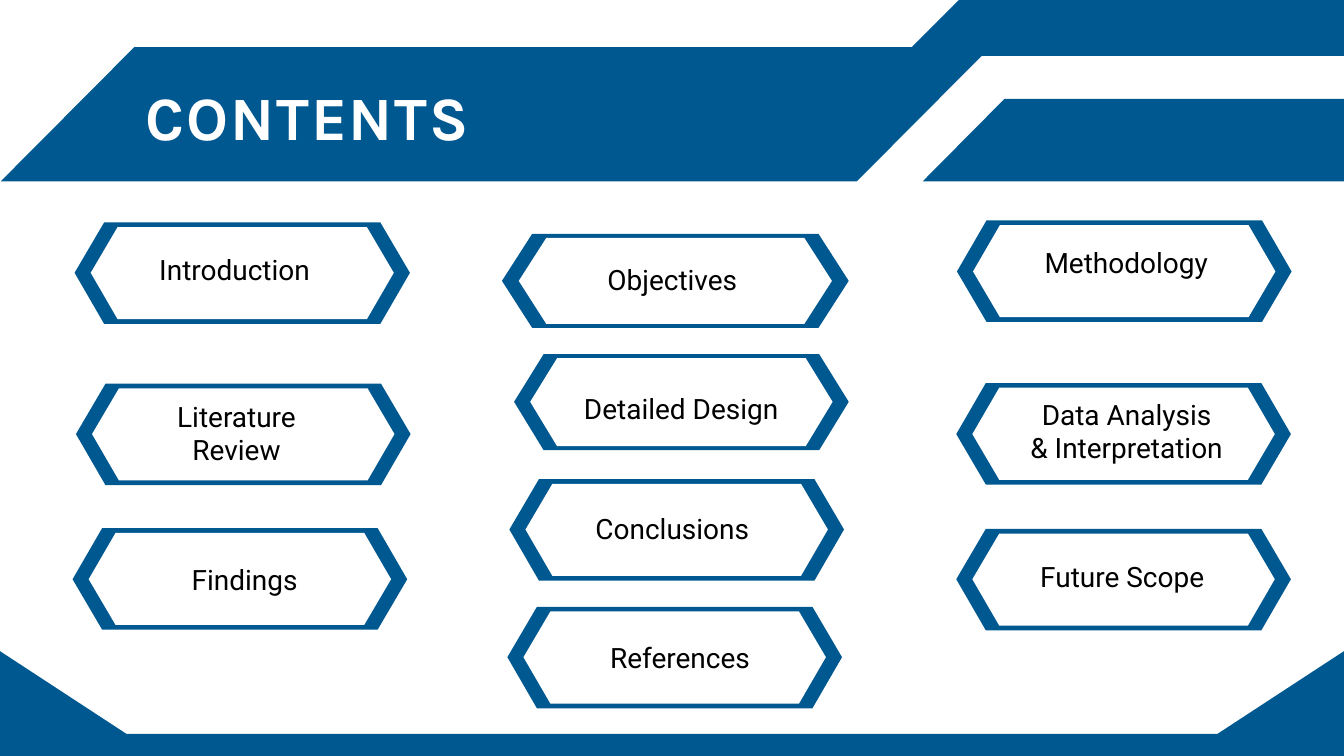
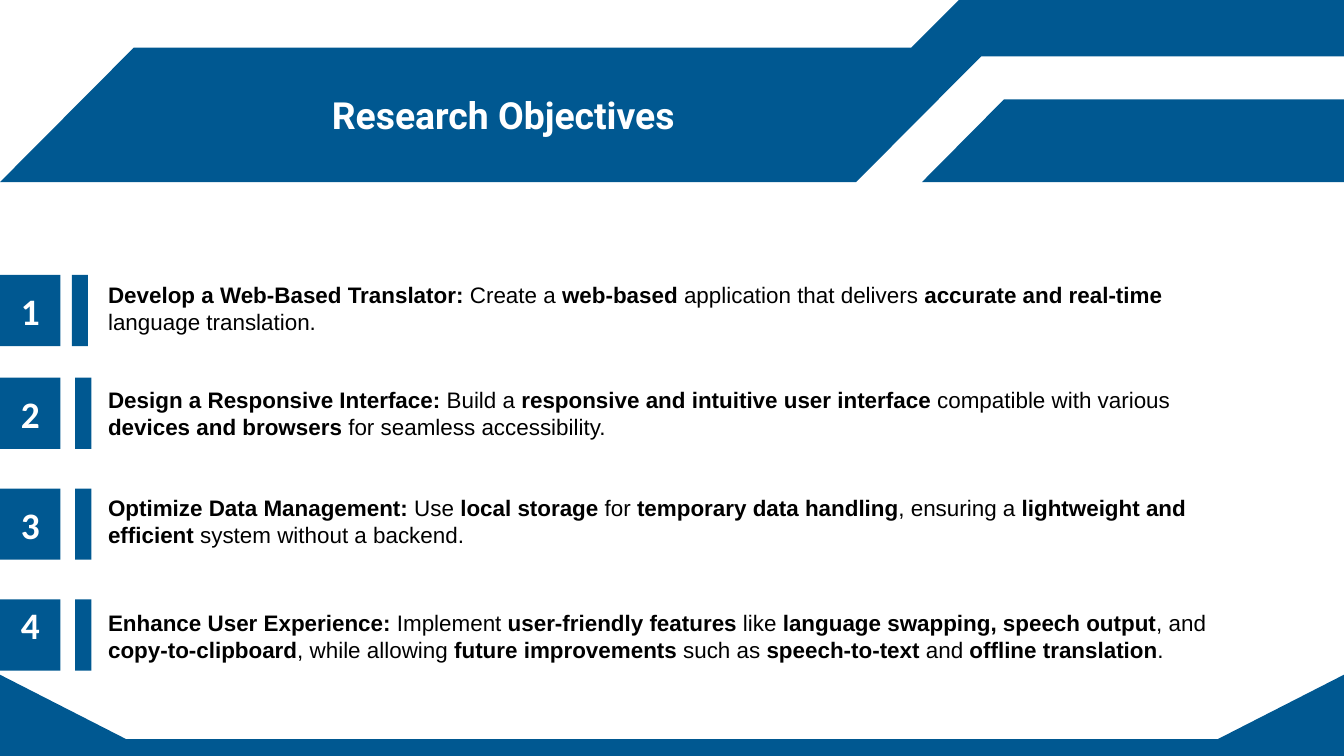
from pptx import Presentation
from pptx.dml.color import RGBColor as Rgb
from pptx.enum.shapes import MSO_SHAPE as Shape
from pptx.enum.text import MSO_ANCHOR as Anchor, MSO_AUTO_SIZE as Auto, PP_ALIGN as Align
from pptx.util import Pt

PX = 9144
WIDE, HIGH = 2000, 1125
HUES = {"blue": "005891", "white": "FFFFFF", "black": "000000"}

BANDS = [
    [(2000, 148), (1494, 148), (1372, 271), (2000, 271)],
    [(2000, 0), (1427, 0), (1356, 71), (199, 71), (0, 271),
     (1274, 271), (1460, 84), (2000, 84)],
]

RINGS = [
    (111, 331, 499, 151), (747, 348, 516, 140), (1424, 328, 498, 151),
    (113, 571, 498, 151), (758, 713, 498, 151), (108, 786, 498, 151),
    (765, 527, 498, 143), (1423, 570, 498, 151), (1423, 787, 498, 151),
    (755, 903, 498, 151),
]

LABELS = [
    ((217, 593, 228, 102), ["Literature", "Review"]),
    ((1497, 365, 316, 52), ["Methodology"]),
    ((1431, 590, 449, 102), ["Data Analysis", "& Interpretation"]),
    ((806, 760, 347, 52), ["Conclusions"]),
    ((223, 836, 240, 52), ["Findings"]),
    ((854, 389, 251, 52), ["Objectives"]),
    ((1464, 831, 370, 52), ["Future Scope"]),
    ((806, 952, 370, 52), ["References"]),
]

# Bold and plain runs take turns, split at each bar.
GOALS = [
    (409, 107, 414, 1633, 0,
     "Develop a Web-Based Translator:| Create a |web-based| application that delivers "
     "|accurate and real-time| language translation."),
    (562, 112, 570, 1633, 0,
     "Design a Responsive Interface: |Build a |responsive and intuitive user interface "
     "|compatible with various |devices and browsers |for seamless accessibility."),
    (727, 112, 731, 1633, 0,
     "Optimize Data Management:| Use |local storage |for |temporary data handling"
     "|, ensuring a |lightweight and efficient| system without a backend."),
    (892, 112, 901, 1658, 30,
     "Enhance User Experience:| Implement |user-friendly features| like "
     "|language swapping, speech output|, and |copy-to-clipboard|, while allowing "
     "|future improvements| such as |speech-to-text| and |offline translation|."),
]


def place(*nums):
    return [n * PX for n in nums]


def paint(shape, hue):
    shape.shadow.inherit = False
    shape.fill.solid()
    shape.fill.fore_color.rgb = Rgb.from_string(HUES[hue])
    shape.line.fill.background()
    return shape


def outline(shapes, paths, hue, dx=0, dy=0):
    moved = [[(x + dx, y + dy) for x, y in path] for path in paths]
    pen = shapes.build_freeform(*moved[0][0], scale=float(PX))
    for i, path in enumerate(moved):
        if i:
            pen.move_to(*path[0])
        pen.add_line_segments(path[1:], close=True)
    return paint(pen.convert_to_shape(), hue)


def frame(shape, pads=None, anchor=Anchor.TOP, grow=True):
    text = shape.text_frame
    text.word_wrap = True
    text.vertical_anchor = anchor
    text.auto_size = Auto.SHAPE_TO_FIT_TEXT if grow else Auto.NONE
    if pads:
        (text.margin_left, text.margin_top,
         text.margin_right, text.margin_bottom) = place(*pads)
    return text


def add_run(para, words, font, size, hue, bold=False, gap=0):
    run = para.add_run()
    run.text = words
    run.font.name = font
    run.font.size = Pt(size)
    run.font.bold = bold
    run.font.color.rgb = Rgb.from_string(HUES[hue])
    if gap:
        run._r.get_or_add_rPr().set("spc", str(gap * 100))


def indent(para, left):
    props = para._p.get_or_add_pPr()
    props.set("marL", str(left * PX))
    props.set("indent", "0")


def base(deck, top, edge, shift):
    slide = deck.slides.add_slide(deck.slide_layouts[5])
    outline(slide.shapes, BANDS, "blue", shift, -shift)
    foot = [(0, top), (0, HIGH), (WIDE, HIGH), (WIDE, top), (1812, edge), (188, edge)]
    outline(slide.shapes, [foot], "blue")
    return slide


def title(slide, box, words, font, size, align, anchor, pad, gap=0):
    head = slide.shapes.title
    head.left, head.top, head.width, head.height = place(*box)
    slide.shapes._spTree.append(head._element)
    para = frame(head, (0, pad, 0, 0), anchor).paragraphs[0]
    para.alignment = align
    add_run(para, words, font, size, "white", True, gap)


def hexagon(shapes, x, y, w, h, hue):
    tip = round(w * 0.088)
    mid, end = y + h / 2, x + w
    path = [(x + tip, y), (end - tip, y), (end, mid),
            (end - tip, y + h), (x + tip, y + h), (x, mid)]
    outline(shapes, [path], hue)


def ring(slide, x, y, w, h):
    group = slide.shapes.add_group_shape()
    dx, dy = round(w * 0.049), round(h * 0.045)
    hexagon(group.shapes, x, y, w, h, "blue")
    hexagon(group.shapes, x + dx, y + dy, w - 2 * dx, h - 2 * dy, "white")


def label(slide, box, lines, left=42, align=Align.CENTER, space=0.1, pitch=1.0):
    text = frame(slide.shapes.add_textbox(*place(*box)), (0, 1, 0, 0))
    for i, line in enumerate(lines):
        para = text.add_paragraph() if i else text.paragraphs[0]
        para.alignment = align
        para.space_before = Pt(space)
        para.line_spacing = pitch
        indent(para, left)
        add_run(para, line, "Roboto", 30, "black")


def block(slide, *box):
    return paint(slide.shapes.add_shape(Shape.RECTANGLE, *place(*box)), "blue")


def goal(slide, num, top, bar, line, wide, low, words):
    tile = block(slide, 0, top, 90, 106)
    para = frame(tile, (0, 0, 0, low), Anchor.MIDDLE, False).paragraphs[0]
    para.alignment = Align.CENTER
    add_run(para, str(num), "Calibri", 40, "white", True)
    block(slide, bar, top, 24, 106)
    note = slide.shapes.add_textbox(*place(151, line, wide, 91))
    para = frame(note).paragraphs[0]
    for i, part in enumerate(words.split("|")):
        add_run(para, part, "Arial", 24, "black", i % 2 == 0)


def contents(deck):
    slide = base(deck, 969, 1092, 1)
    title(slide, (217, 92, 1050, 136), "CONTENTS", "Karla", 66,
          Align.LEFT, Anchor.TOP, 25, 2)
    for box in RINGS:
        ring(slide, *box)
    label(slide, (236, 375, 242, 53), ["Introduction"], 1, Align.LEFT, 1)
    label(slide, (793, 556, 398, 68), ["Detailed Design"], 76, Align.LEFT, pitch=1.5)
    for box, lines in LABELS:
        label(slide, box, lines)


def goals(deck):
    slide = base(deck, 1004, 1100, 0)
    title(slide, (208, 135, 1082, 69), "Research Objectives", "Roboto", 40,
          Align.CENTER, Anchor.MIDDLE, 1)
    for num, row in enumerate(GOALS, 1):
        goal(slide, num, *row)


def main():
    deck = Presentation()
    deck.slide_width, deck.slide_height = place(WIDE, HIGH)
    contents(deck)
    goals(deck)
    deck.save("out.pptx")


if __name__ == "__main__":
    main()
